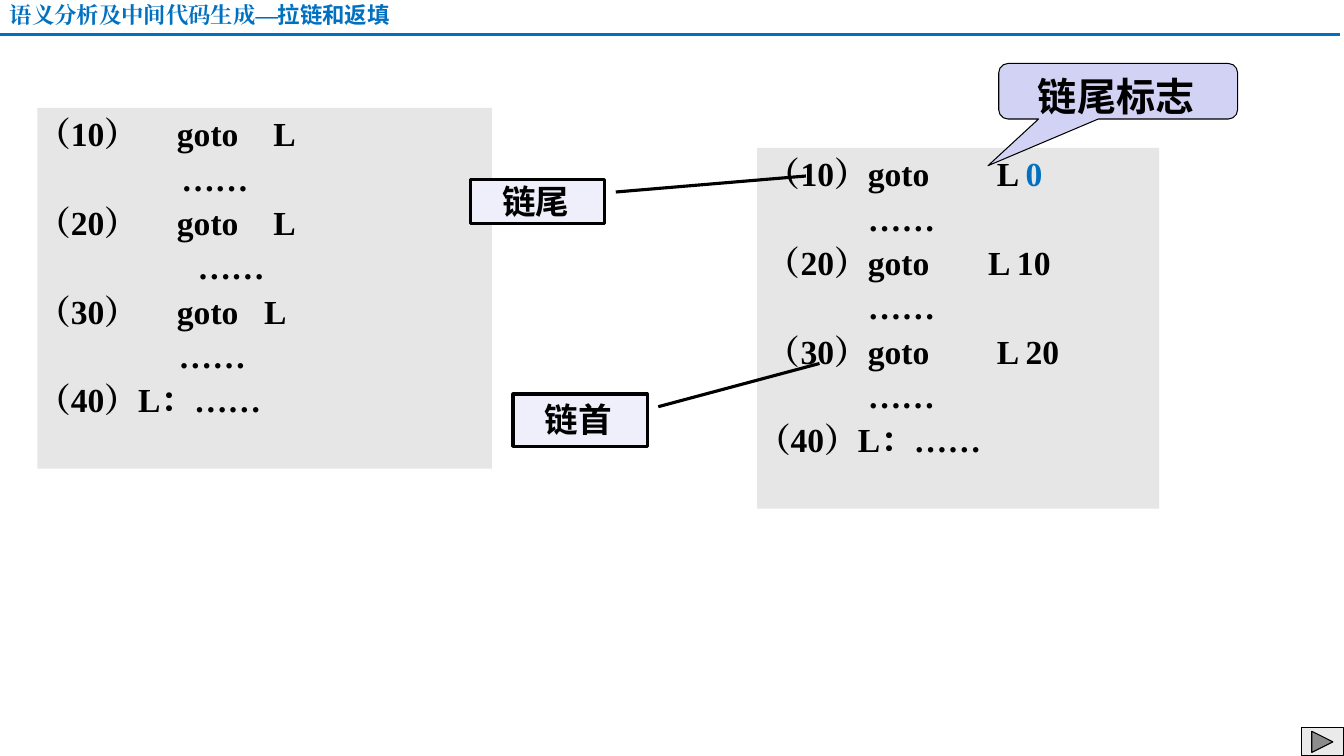
from lxml.etree import SubElement as Sub
from pptx import Presentation
from pptx.dml.color import RGBColor as Rgb
from pptx.enum.shapes import MSO_CONNECTOR as Link, MSO_SHAPE as Kind
from pptx.enum.text import MSO_ANCHOR as Anchor, PP_ALIGN as Align
from pptx.oxml.ns import qn
from pptx.util import Cm, Pt

HUE = {"ink": "000000", "blue": "0070C0", "panel": "E6E6E6",
       "label": "EFEFFB", "flag": "D2D2F4", "button": "EAEAEA"}
SERIF, SANS, HEAD = "Times New Roman", "Noto Sans CJK SC", "Cabin"


def write(par, text, font=SERIF, size=24, hue="ink"):
    """Add one bold run to a paragraph."""
    run = par.add_run()
    run.text = text
    run.font.name, run.font.size, run.font.bold = font, Pt(size), True
    run.font.color.rgb = Rgb.from_string(HUE[hue])
    Sub(run.font._element, qn("a:ea"), typeface=font)


class Page:
    def __init__(self, deck):
        self.slide = deck.slides.add_slide(deck.slide_layouts[6])
        self.items = self.slide.shapes

    def shape(self, kind, box, fill, line=0, adj=()):
        item = self.items.add_shape(kind, *map(Cm, box))
        item.shadow.inherit = False
        item.fill.solid()
        item.fill.fore_color.rgb = Rgb.from_string(HUE[fill])
        if line:
            item.line.color.rgb = Rgb.from_string(HUE["ink"])
            item.line.width = Pt(line)
        else:
            item.line.fill.background()
        for i, part in enumerate(adj):
            item.adjustments[i] = part
        frame = item.text_frame
        frame.word_wrap = True
        frame.vertical_anchor = Anchor.TOP
        frame.margin_left, frame.margin_right = 0, Cm(0.1)
        frame.margin_top = frame.margin_bottom = Cm(0.03)
        return frame

    def code(self, box, lines):
        """Each line: indent, tab stops, then (text, hue) pieces."""
        frame = self.shape(Kind.RECTANGLE, box, "panel")
        for i, (left, stops, *parts) in enumerate(lines):
            par = frame.add_paragraph() if i else frame.paragraphs[0]
            par.alignment, par.line_spacing = Align.LEFT, 1.1
            props = par._p.get_or_add_pPr()
            props.set("marL", str(Cm(left)))
            if stops:
                tabs = Sub(props, qn("a:tabLst"))
                for stop in stops:
                    Sub(tabs, qn("a:tab"), pos=str(Cm(stop)), algn="l")
            for text, hue in parts:
                write(par, text, hue=hue)

    def callout(self, kind, box, text, fill, adj, line=2.25, size=24, space=1.1):
        par = self.shape(kind, box, fill, line, adj).paragraphs[0]
        par.alignment, par.line_spacing = Align.CENTER, space
        write(par, text, font=SANS, size=size)

    def rule(self, start, end):
        line = self.items.add_connector(Link.STRAIGHT, *map(Cm, start + end))
        line.line.color.rgb = Rgb.from_string(HUE["blue"])
        line.line.width = Pt(2.25)
        Sub(line._element.spPr, qn("a:effectLst"))

    def title(self, box, *parts):
        frame = self.items.add_textbox(*map(Cm, box)).text_frame
        frame.word_wrap = False
        for text, font in parts:
            write(frame.paragraphs[0], text, font=font, size=16, hue="blue")


def main():
    deck = Presentation()
    deck.slide_width, deck.slide_height = Cm(33.87), Cm(19.05)
    page = Page(deck)

    # Code before and after chaining; a wide space lifts the dots
    low, high, last = ("……", "ink"), ("\u3000……".replace("\u3000", "　"), "ink"), ("（40）L：……", "ink")
    page.code((0.94, 2.72, 11.46, 9.09), [
        (0, (3.52, 5.95), ("（10）\tgoto\tL", "ink")),
        (3.63, (), low),
        (0, (3.52, 5.95), ("（20）\tgoto\tL", "ink")),
        (4.04, (), low),
        (0, (3.52, 5.72), ("（30）\tgoto\tL", "ink")),
        (2.72, (), high),
        (0, (), last)])
    page.code((19.08, 3.73, 10.13, 9.09), [
        (0.25, (5.79,), ("（10）goto\tL ", "ink"), ("0", "blue")),
        (1.95, (), high),
        (0.25, (5.57,), ("（20）goto\tL 10", "ink")),
        (1.95, (), high),
        (0.25, (5.79,), ("（30）goto\tL 20", "ink")),
        (2.79, (), low),
        (0, (), last)])

    # Chain labels
    page.callout(Kind.LINE_CALLOUT_1, (11.86, 4.52, 3.38, 1.12), "链尾", "label",
                 (0.285, 1.083, -0.075, 2.5), space=1.0)
    page.callout(Kind.LINE_CALLOUT_1, (12.93, 9.93, 3.38, 1.32), "链首", "label",
                 (0.242, 1.083, -0.584, 2.285))
    page.callout(Kind.ROUNDED_RECTANGULAR_CALLOUT, (25.17, 1.6, 6.02, 1.4),
                 "链尾标志", "flag", (-0.545, 1.34, 0.167), line=0.75, size=28)

    # Next button, header rule and title
    page.shape(Kind.ACTION_BUTTON_FORWARD_OR_NEXT, (32.79, 18.34, 1.07, 0.71),
               "button", line=0.75)
    page.rule((0, 0.86), (33.78, 0.86))
    page.title((0, -0.1, 10.26, 0.94),
               ("语义分析及中间代码生成—", SERIF), ("拉链和返填", HEAD))

    deck.save("out.pptx")


if __name__ == "__main__":
    main()
